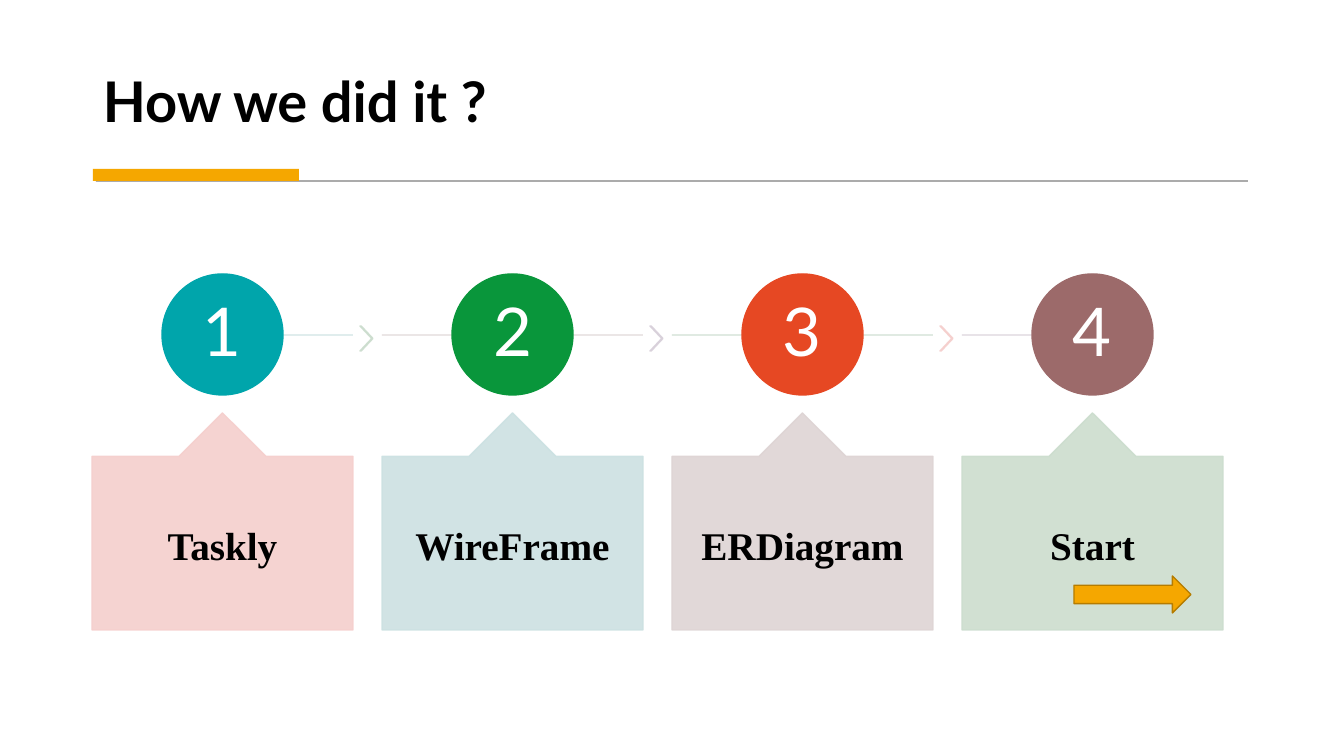
from pptx import Presentation
from pptx import util as u
from pptx.dml.color import RGBColor
from pptx.enum import shapes, text
from pptx.oxml.ns import qn
from lxml import etree

# Content: number, label, circle, callout, line and chevron colours
TITLE = "How we did it ?"
STEPS = [
    ("1", "Taskly", "00A5AB", "F5CFCD", "CCE1E2", "CCDDCE"),
    ("2", "WireFrame", "09963B", "CCE1E2", "DED4D4", "D8D0DA"),
    ("3", "ERDiagram", "E64823", "DED4D4", "CCDDCE", "F5CFCD"),
    ("4", "Start", "9C6A6A", "CCDDCE", "D8D0DA", None),
]
ACCENT, ACCENT_EDGE, RULE = "F5A700", "B57C00", "595959"

# Layout in px
SCALE = 12192000 / 1344
LEFT, STEP, CARD_WIDTH = 92, 290, 261
CARD_TOP, CARD_HEIGHT = 413, 217
CIRCLE_TOP, CIRCLE = 274, 121
LINE_Y = 335
KIND = shapes.MSO_SHAPE


def px(value):
    return u.Emu(round(value * SCALE))


def color(hex_string):
    return RGBColor.from_string(hex_string)


def set_alpha(item, percent):
    for node in item._element.spPr.iter(qn("a:srgbClr")):
        etree.SubElement(node, qn("a:alpha"), val=str(percent * 1000))


def add_shape(slide, kind, left, top, width, height, fill, edge=None,
              alpha=100, adjust=()):
    shape = slide.shapes.add_shape(kind, px(left), px(top), px(width), px(height))
    shape.shadow.inherit = False
    shape.fill.solid()
    shape.fill.fore_color.rgb = color(fill)
    if edge:
        shape.line.color.rgb = color(edge)
        shape.line.width = u.Pt(1)
    else:
        shape.line.fill.background()
    for index, value in enumerate(adjust):
        shape.adjustments[index] = value
    if alpha < 100:
        set_alpha(shape, alpha)
    return shape


def add_line(slide, start, end, y, stroke, width, alpha):
    line = slide.shapes.add_connector(
        shapes.MSO_CONNECTOR.STRAIGHT, px(start), px(y), px(end), px(y))
    line.line.color.rgb = color(stroke)
    line.line.width = u.Pt(width)
    set_alpha(line, alpha)
    etree.SubElement(line._element.spPr, qn("a:effectLst"))


def write(shape, words, *, size, font, fill, bold=False, spacing=0.9,
          align=text.PP_ALIGN.CENTER, anchor=text.MSO_ANCHOR.MIDDLE, inset=(0, 0)):
    frame = shape.text_frame
    frame.word_wrap = True
    frame.vertical_anchor = anchor
    frame.margin_left = frame.margin_right = px(inset[0])
    frame.margin_top = frame.margin_bottom = px(inset[1])
    paragraph = frame.paragraphs[0]
    paragraph.alignment = align
    paragraph.line_spacing = spacing
    run = paragraph.add_run()
    run.text = words
    run.font.size = u.Pt(size)
    run.font.name = font
    run.font.bold = bold
    run.font.color.rgb = color(fill)


def add_step(slide, index, number, label, circle_fill, card_fill, line_fill,
             chevron_fill):
    left = LEFT + index * STEP
    center = left + CARD_WIDTH / 2
    last = index == len(STEPS) - 1

    # Line behind the circle, then the chevron in the gap
    add_line(slide, left if index else center, center if last else left + CARD_WIDTH,
             LINE_Y, line_fill, 1, 90)
    if chevron_fill:
        add_shape(slide, KIND.CHEVRON, left + 268, 326, 13, 25, chevron_fill,
                  chevron_fill, alpha=90, adjust=[0.9])

    # Numbered circle
    circle = add_shape(slide, KIND.OVAL, center - CIRCLE / 2, CIRCLE_TOP,
                       CIRCLE, CIRCLE, circle_fill, circle_fill)
    write(circle, number, size=48, font="Lato", fill="FFFFFF")

    # Callout card
    card = add_shape(slide, KIND.UP_ARROW_CALLOUT, left, CARD_TOP, CARD_WIDTH,
                     CARD_HEIGHT, card_fill, card_fill, alpha=90,
                     adjust=[0.4, 0.2, 0.2, 0.8])
    write(card, label, size=28, font="Times New Roman", fill="000000", bold=True,
          spacing=2.0, anchor=text.MSO_ANCHOR.TOP, inset=(20, 18))


def main():
    presentation = Presentation()
    presentation.slide_width, presentation.slide_height = px(1344), px(756)
    slide = presentation.slides.add_slide(presentation.slide_layouts[6])

    # Title with rule and accent bar
    title = slide.shapes.add_textbox(px(93), px(28), px(1158), px(112))
    write(title, TITLE, size=40, font="Lato", fill="000000", bold=True,
          align=text.PP_ALIGN.LEFT, anchor=text.MSO_ANCHOR.BOTTOM, inset=(10, 5))
    add_line(slide, 96, 1248, 181, RULE, 1.25, 50)
    add_shape(slide, KIND.RECTANGLE, 93, 169, 206, 12, ACCENT)

    # Process steps
    for index, step in enumerate(STEPS):
        add_step(slide, index, *step)

    # Arrow on the last card
    add_shape(slide, KIND.RIGHT_ARROW, 1074, 576, 117, 37, ACCENT, ACCENT_EDGE)
    presentation.save("out.pptx")


if __name__ == "__main__":
    main()
